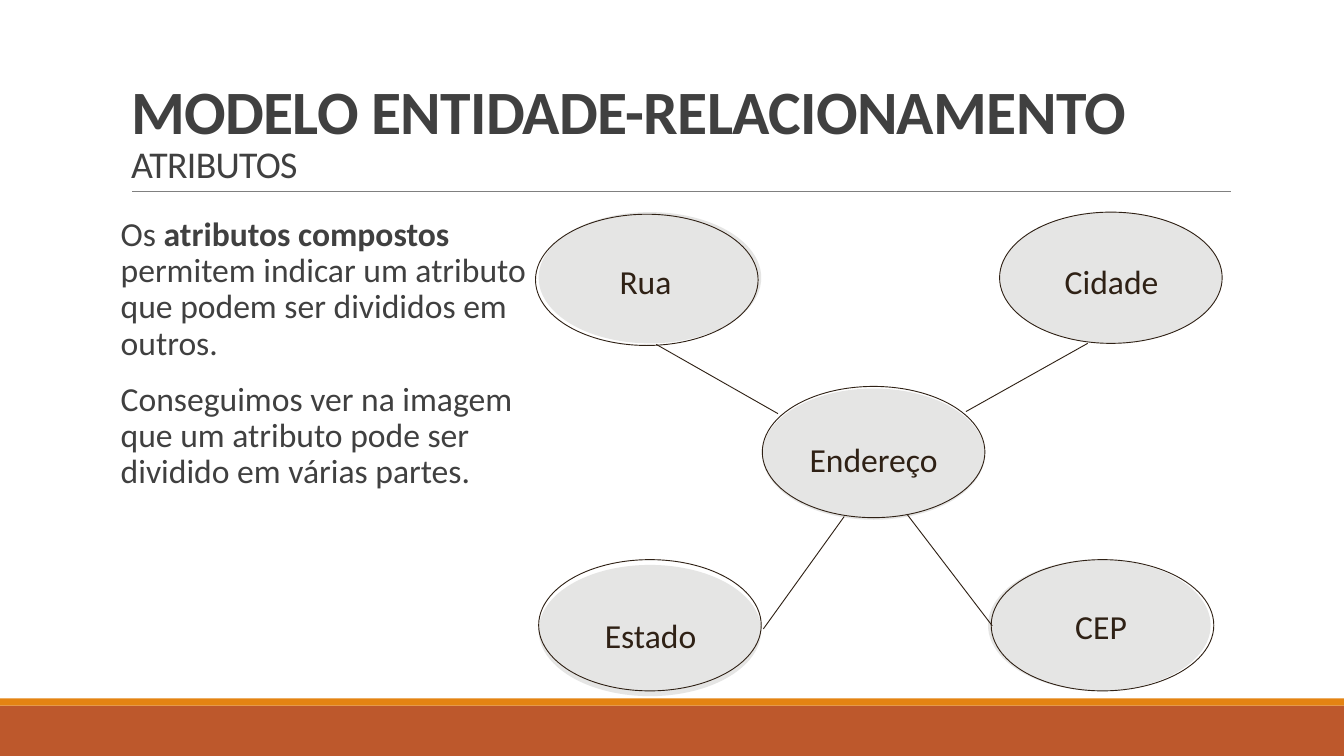
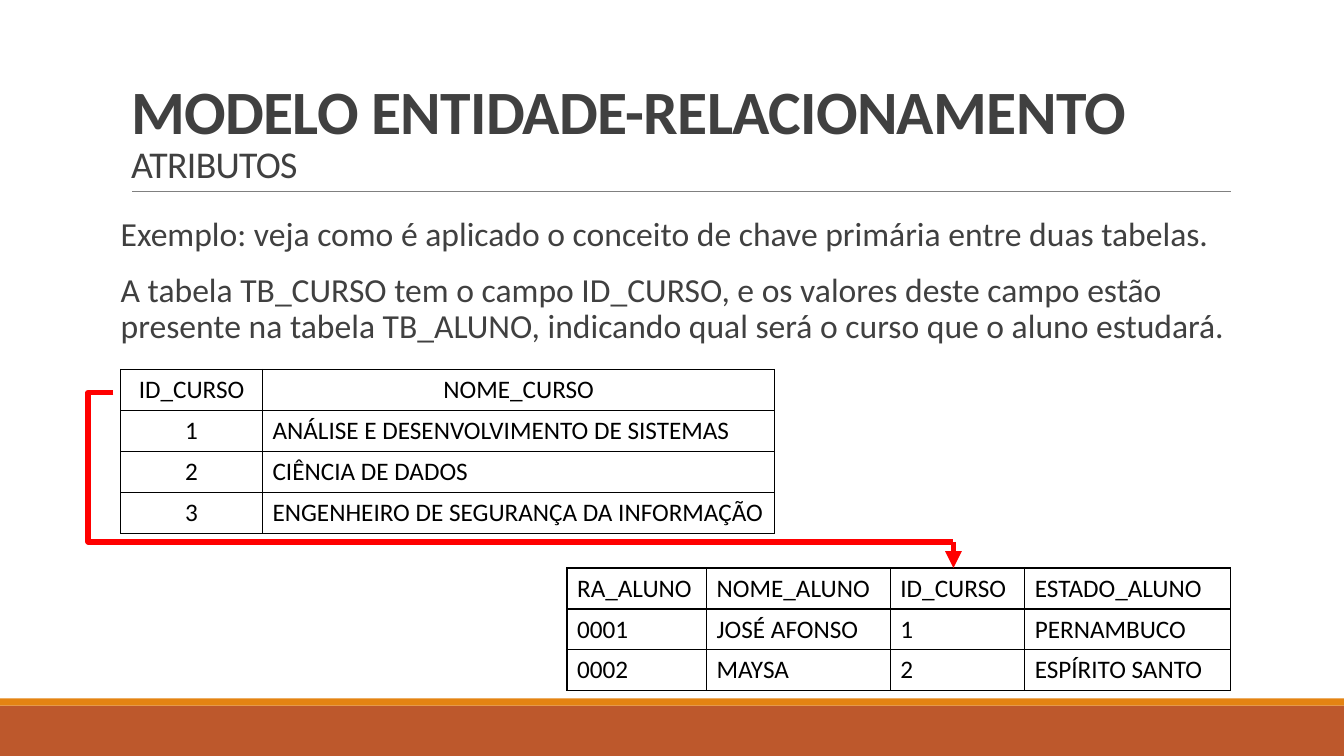
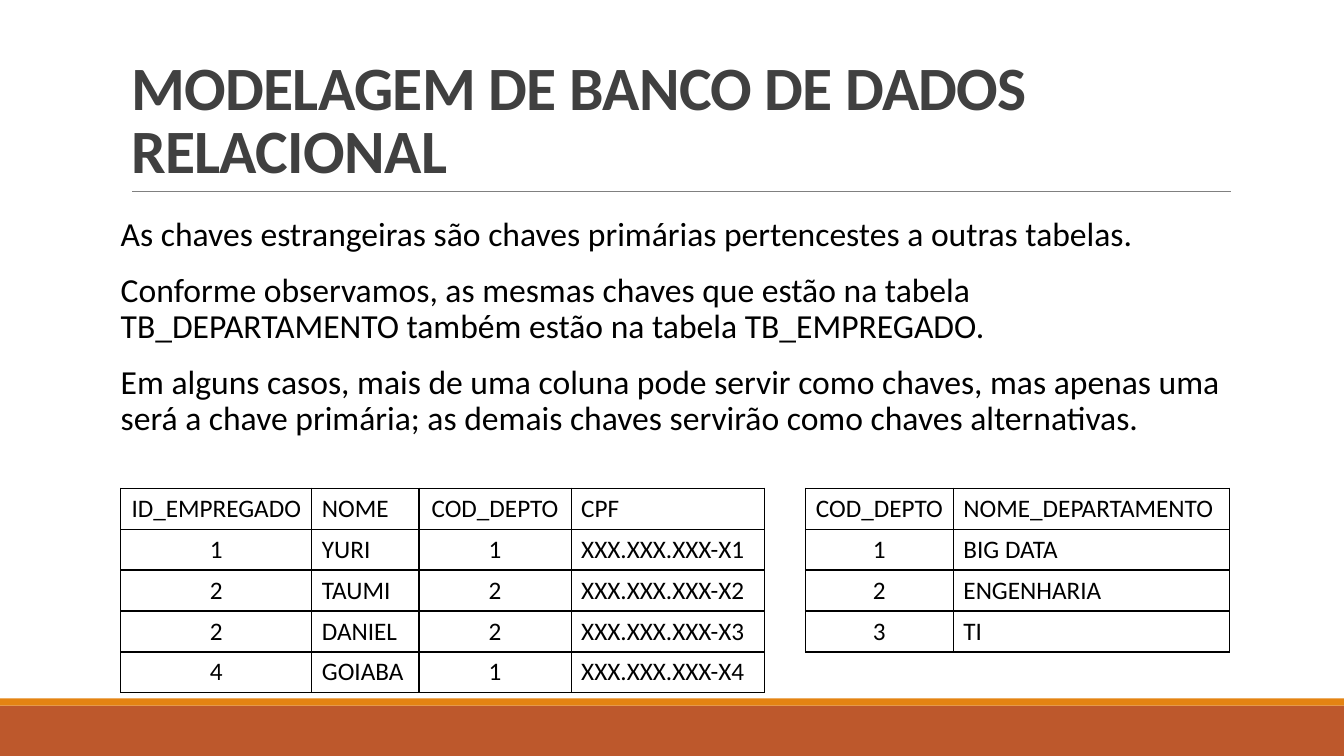
from dataclasses import dataclass

from lxml import etree
from pptx import Presentation
from pptx import util as u
from pptx.dml.color import RGBColor
from pptx.enum import shapes, text
from pptx.oxml.ns import qn

PX = 9525  # EMU in one px; the slide is 1280 by 720
LEFT = 115
CONTENT_WIDTH = 1056
ROW_HEIGHT = 39


@dataclass(frozen=True)
class Theme:
    font: str = "Calibri"
    heading: str = "404040"
    black: str = "000000"
    white: str = "FFFFFF"
    footer: str = "BD582C"
    accent: str = "E48312"
    rule: str = "808080"
    oval: str = "E5E5E4"
    ink: str = "2F2115"
    link: str = "FF0000"
    title_size: int = 44
    subtitle_size: int = 27
    body_size: int = 24
    table_size: int = 18
    rule_width: float = 0.5
    ink_width: float = 0.64
    link_width: float = 4


class Deck:
    def __init__(self, theme):
        self.theme = theme
        self.prs = Presentation()
        self.prs.slide_width, self.prs.slide_height = self.px(1280, 720)
        self.slide = None

    @staticmethod
    def px(*lengths):
        return [u.Emu(length * PX) for length in lengths]

    def new_slide(self, title, subtitle=None):
        t = self.theme
        self.slide = self.prs.slides.add_slide(self.prs.slide_layouts[6])
        self.shape("RECTANGLE", (0, 672, 1280, 48), fill=t.footer)
        self.shape("RECTANGLE", (0, 665, 1280, 7), fill=t.accent)
        self.line((126, 182), (1172, 182), t.rule, t.rule_width)
        frame = self.text_frame((LEFT, 30, CONTENT_WIDTH, 152), (10, 5, 10, 5))
        frame.vertical_anchor = text.MSO_ANCHOR.BOTTOM
        heading = frame.paragraphs[0]
        heading.line_spacing = 0.85
        runs = [self.run(heading, title, t.title_size, t.heading, bold=True)]
        if subtitle:
            heading.add_line_break()
            runs.append(self.run(heading, subtitle, t.subtitle_size, t.heading))
        for run in runs:
            run._r.get_or_add_rPr().set("spc", "-50")

    def shape(self, kind, box, fill=None, outline=None, width=0.0):
        shape = self.slide.shapes.add_shape(
            getattr(shapes.MSO_SHAPE, kind), *self.px(*box))
        shape.shadow.inherit = False
        if fill:
            shape.fill.solid()
            shape.fill.fore_color.rgb = RGBColor.from_string(fill)
        else:
            shape.fill.background()
        if outline:
            shape.line.color.rgb = RGBColor.from_string(outline)
            shape.line.width = u.Pt(width)
        else:
            shape.line.fill.background()

    def line(self, start, end, color, width, arrow=False, bend=None):
        """Draw a straight line, or an elbow whose bend is a share of its width."""
        kind = shapes.MSO_CONNECTOR.STRAIGHT if bend is None else shapes.MSO_CONNECTOR.ELBOW
        line = self.slide.shapes.add_connector(kind, *self.px(*start, *end))
        line.line.color.rgb = RGBColor.from_string(color)
        line.line.width = u.Pt(width)
        properties = line._element.spPr
        if arrow:
            etree.SubElement(properties.find(qn("a:ln")), qn("a:tailEnd"), type="triangle")
        if bend is not None:
            guides = properties.find(qn("a:prstGeom")).find(qn("a:avLst"))
            etree.SubElement(guides, qn("a:gd"), name="adj1", fmla=f"val {round(bend * 100000)}")
        etree.SubElement(properties, qn("a:effectLst"))

    def text_frame(self, box, insets=(0, 0, 0, 0)):
        frame = self.slide.shapes.add_textbox(*self.px(*box)).text_frame
        frame.word_wrap = True
        (frame.margin_left, frame.margin_top,
         frame.margin_right, frame.margin_bottom) = self.px(*insets)
        return frame

    def run(self, paragraph, words, size, color, bold=False):
        run = paragraph.add_run()
        run.text = words
        run.font.name = self.theme.font
        run.font.size = u.Pt(size)
        run.font.bold = bold
        run.font.color.rgb = RGBColor.from_string(color)
        return run

    def body(self, paragraphs, width=CONTENT_WIDTH, color=None):
        """Write paragraphs; each is a list of runs, every second run bold."""
        frame = self.text_frame((LEFT, 202, width, 456), (0, 5, 0, 5))
        for i, runs in enumerate(paragraphs):
            paragraph = frame.add_paragraph() if i else frame.paragraphs[0]
            paragraph.line_spacing = 0.9
            paragraph.space_before = u.Pt(12)
            paragraph.space_after = u.Pt(2)
            for j, words in enumerate(runs):
                self.run(paragraph, words, self.theme.body_size,
                         color or self.theme.heading, bold=j % 2 == 1)

    def attribute(self, name, fill_at, outline_at, label_box):
        """Draw an oval whose outline may sit slightly off its fill."""
        t = self.theme
        self.shape("OVAL", (*fill_at, 212, 125), fill=t.oval)
        self.shape("OVAL", (*outline_at, 212, 125), outline=t.ink, width=t.ink_width)
        label = self.text_frame(label_box).paragraphs[0]
        label.line_spacing = 1.07
        label.space_after = u.Pt(8)
        label._p.get_or_add_pPr().set("indent", str(17 * PX))
        self.run(label, name, t.body_size, t.ink)

    def table(self, left, top, widths, rows, aligns, header_aligns=None):
        """Draw a ruled table; aligns has one letter a column, c or l."""
        t = self.theme
        table = self.slide.shapes.add_table(
            len(rows), len(widths),
            *self.px(left, top, sum(widths), ROW_HEIGHT * len(rows))).table
        table.first_row = table.horz_banding = False
        for column, width in zip(table.columns, self.px(*widths)):
            column.width = width
        for r, values in enumerate(rows):
            table.rows[r].height = u.Emu(ROW_HEIGHT * PX)
            row_aligns = aligns if r else header_aligns or aligns
            for c, (value, align) in enumerate(zip(values, row_aligns)):
                cell = table.cell(r, c)
                self.borders(cell)
                cell.fill.background()
                paragraph = cell.text_frame.paragraphs[0]
                if align == "c":
                    paragraph.alignment = text.PP_ALIGN.CENTER
                self.run(paragraph, value, t.table_size, t.black)

    def borders(self, cell):
        properties = cell._tc.get_or_add_tcPr()
        for side in "LRTB":
            border = etree.SubElement(properties, qn(f"a:ln{side}"), w=str(u.Pt(1)))
            fill = etree.SubElement(border, qn("a:solidFill"))
            etree.SubElement(fill, qn("a:srgbClr"), val=self.theme.black)


def composite_attributes(deck):
    deck.new_slide("MODELO ENTIDADE-RELACIONAMENTO", "ATRIBUTOS")
    deck.body([
        ["Os ", "atributos compostos",
         " permitem indicar um atributo que podem ser divididos em outros."],
        ["Conseguimos ver na imagem que um atributo pode ser dividido em várias partes."],
    ], width=392)
    for attribute in (
        ("Endereço", (726, 370), (726, 368), (754, 415, 166, 38)),
        ("Rua", (513, 202), (510, 204), (573, 246, 85, 42)),
        ("Cidade", (952, 202), (952, 202), (997, 246, 123, 49)),
        ("Estado", (513, 538), (513, 533), (559, 583, 120, 45)),
        ("CEP", (941, 533), (944, 533), (1007, 574, 81, 47)),
    ):
        deck.attribute(*attribute)
    for address_end, part_end in (
        ((741, 394), (625, 328)),
        ((920, 392), (1036, 327)),
        ((804, 492), (727, 599)),
        ((864, 490), (945, 596)),
    ):
        deck.line(address_end, part_end, deck.theme.ink, deck.theme.ink_width)


def primary_key(deck):
    t = deck.theme
    deck.new_slide("MODELO ENTIDADE-RELACIONAMENTO", "ATRIBUTOS")
    deck.body([
        ["Exemplo: veja como é aplicado o conceito de chave primária entre duas tabelas."],
        ["A tabela TB_CURSO tem o campo ID_CURSO, e os valores deste campo estão presente "
         "na tabela TB_ALUNO, indicando qual será o curso que o aluno estudará."],
    ])
    deck.table(LEFT, 352, (135, 488), [
        ("ID_CURSO", "NOME_CURSO"),
        ("1", "ANÁLISE E DESENVOLVIMENTO DE SISTEMAS"),
        ("2", "CIÊNCIA DE DADOS"),
        ("3", "ENGENHEIRO DE SEGURANÇA DA INFORMAÇÃO"),
    ], "cl", header_aligns="cc")
    deck.table(540, 541, (133, 175, 128, 196), [
        ("RA_ALUNO", "NOME_ALUNO", "ID_CURSO", "ESTADO_ALUNO"),
        ("0001", "JOSÉ AFONSO", "1", "PERNAMBUCO"),
        ("0002", "MAYSA", "2", "ESPÍRITO SANTO"),
    ], "llll")
    corner = (908, 516)
    deck.line((108, 374), corner, t.link, t.link_width, bend=-0.03)
    deck.line(corner, (908, 541), t.link, t.link_width, arrow=True)


def foreign_key(deck):
    deck.new_slide("MODELAGEM DE BANCO DE DADOS RELACIONAL")
    deck.body([
        ["As chaves estrangeiras são chaves primárias pertencestes a outras tabelas."],
        ["Conforme observamos, as mesmas chaves que estão na tabela TB_DEPARTAMENTO "
         "também estão na tabela TB_EMPREGADO."],
        ["Em alguns casos, mais de uma coluna pode servir como chaves, mas apenas uma "
         "será a chave primária; as demais chaves servirão como chaves alternativas."],
    ], color=deck.theme.black)
    deck.table(LEFT, 465, (182, 102, 145, 184), [
        ("ID_EMPREGADO", "NOME", "COD_DEPTO", "CPF"),
        ("1", "YURI", "1", "XXX.XXX.XXX-X1"),
        ("2", "TAUMI", "2", "XXX.XXX.XXX-X2"),
        ("2", "DANIEL", "2", "XXX.XXX.XXX-X3"),
        ("4", "GOIABA", "1", "XXX.XXX.XXX-X4"),
    ], "clcl")
    deck.table(767, 465, (141, 263), [
        ("COD_DEPTO", "NOME_DEPARTAMENTO"),
        ("1", "BIG DATA"),
        ("2", "ENGENHARIA"),
        ("3", "TI"),
    ], "cl")


def main():
    deck = Deck(Theme())
    composite_attributes(deck)
    primary_key(deck)
    foreign_key(deck)
    deck.prs.save("out.pptx")


if __name__ == "__main__":
    main()
